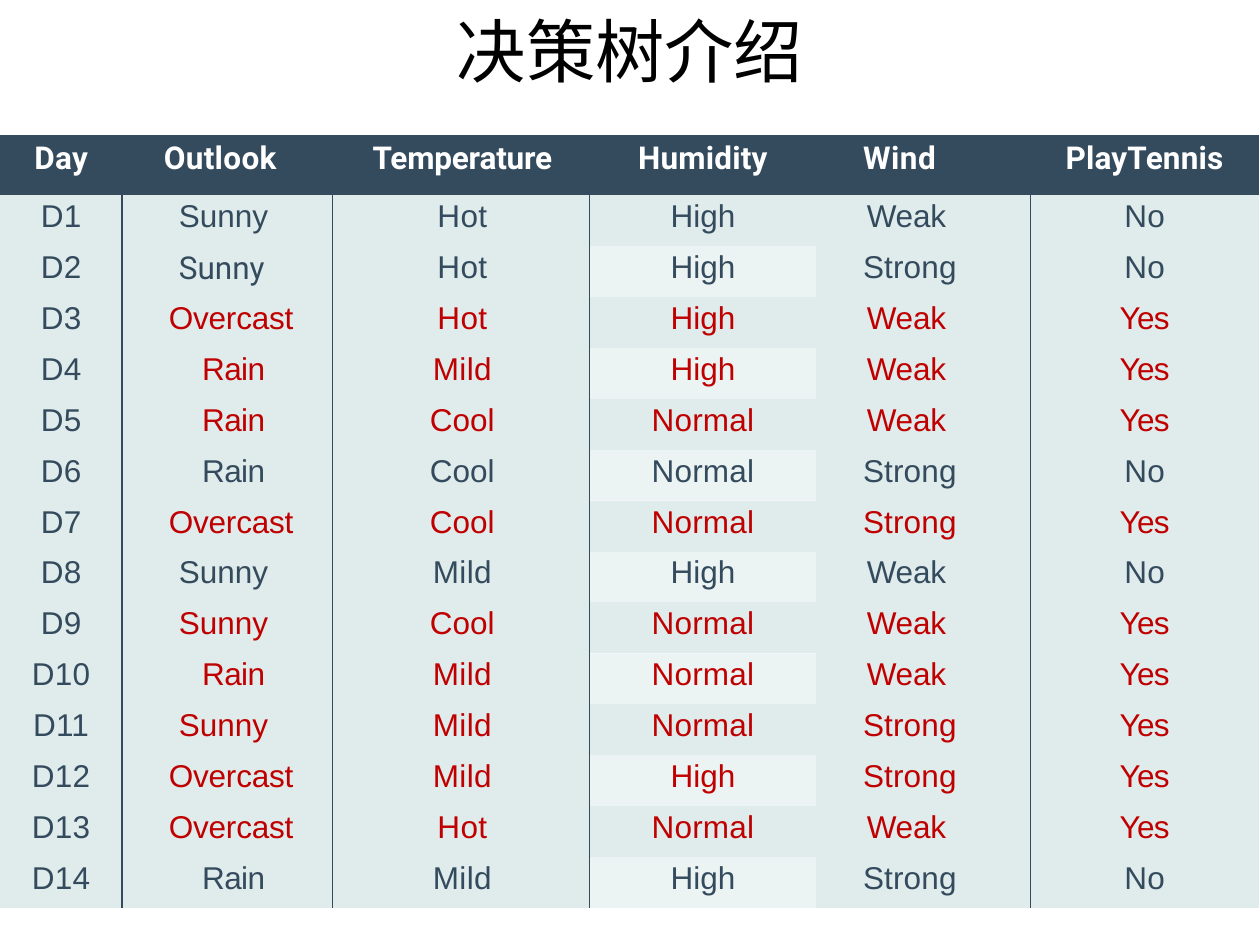
from lxml import etree
from pptx import Presentation
from pptx import util as u
from pptx.dml.color import RGBColor
from pptx.enum import text
from pptx.oxml import ns

NAVY = RGBColor(0x34, 0x4B, 0x5E)
RED = RGBColor(0xC0, 0x00, 0x00)
PALE = RGBColor(0xE0, 0xEB, 0xEB)
WHITE = RGBColor(0xFF, 0xFF, 0xFF)
BLACK = RGBColor(0x00, 0x00, 0x00)

WIDTH, HEIGHT = 10, 7.5
TOP, TALL, HEAD_H = 1.07, 6.14, 0.48
COLS = [0.97, 1.67, 2.04, 1.8, 1.7, 1.81]
RULED = (0, 1, 4)  # columns with a line on their right side
NO_STYLE = "{2D5ABB26-0587-4C30-8999-92F81FD0307C}"

HEAD = "Day Outlook Temperature Humidity Wind PlayTennis".split()
DAYS = [line.split() for line in """\
Sunny Hot High Weak No
Sunny Hot High Strong No
Overcast Hot High Weak Yes
Rain Mild High Weak Yes
Rain Cool Normal Weak Yes
Rain Cool Normal Strong No
Overcast Cool Normal Strong Yes
Sunny Mild High Weak No
Sunny Cool Normal Weak Yes
Rain Mild Normal Weak Yes
Sunny Mild Normal Strong Yes
Overcast Mild High Strong Yes
Overcast Hot Normal Weak Yes
Rain Mild High Strong No""".splitlines()]

# Words set from the left, with their indent in inches; all others are centred
LEFT = {"Outlook": 0.33, "Wind": 0.37, "Sunny": 0.45, "Overcast": 0.37,
        "Weak": 0.4, "Strong": 0.37}
# Letter spacing in hundredths of a point; 10 where a word is not named
TRACK = {"Day": 20, "Outlook": 20, "Temperature": -10, "Wind": 30,
         "Sunny": 0, "Overcast": -10, "Rain": -30, "Hot": 20, "Mild": 20,
         "Cool": 0, "High": 0, "Weak": -10, "Yes": -40}


def add_run(para, word, size, font, color, bold=False):
    run = para.add_run()
    run.text = word
    run.font.size = u.Pt(size)
    run.font.name = font
    run.font.bold = bold
    run.font.color.rgb = color
    return run


def add_title(slide, words):
    title = slide.shapes.title
    title.left, title.top = u.Inches(0.05 * WIDTH), u.Inches(0.05)
    title.width, title.height = u.Inches(0.9 * WIDTH), u.Inches(0.69)
    frame = title.text_frame
    frame.vertical_anchor = text.MSO_ANCHOR.MIDDLE
    para = frame.paragraphs[0]
    para.alignment = text.PP_ALIGN.CENTER
    add_run(para, words, 39.6, "Calibri", BLACK)


def add_rule(cell, side):
    """Draw a one-point line on the side "L" or "R" of a cell."""
    line = etree.SubElement(cell._tc.get_or_add_tcPr(),
                            ns.qn("a:ln" + side), w=str(u.Pt(1)))
    fill = etree.SubElement(line, ns.qn("a:solidFill"))
    etree.SubElement(fill, ns.qn("a:srgbClr"), val=str(NAVY))


def fill_cell(cell, color, share=100):
    cell.fill.solid()
    cell.fill.fore_color.rgb = color
    if share < 100:
        tint = cell._tc.tcPr.find(".//" + ns.qn("a:srgbClr"))
        etree.SubElement(tint, ns.qn("a:alpha"), val=str(share * 1000))


def set_word(cell, word, col, font, color, head=False):
    cell.margin_left = cell.margin_right = cell.margin_bottom = 0
    cell.margin_top = u.Inches(0.04 if head else 0.03)
    para = cell.text_frame.paragraphs[0]
    para.space_before = u.Pt(2.8 if head else 2.4)
    indent = LEFT.get(word, {"Rain": 0.1}.get(word, 0.02 if col == 2 else 0))
    para.alignment = (text.PP_ALIGN.LEFT if word in LEFT
                      else text.PP_ALIGN.CENTER)
    props = para._p.get_or_add_pPr()
    props.set("marL", str(u.Inches(indent)))
    props.set("indent", "0")
    run = add_run(para, word, 18, font, color, head)
    run.font._element.set("spc", str(TRACK.get(word, 10)))


def add_grid(slide):
    rows = len(DAYS) + 1
    table = slide.shapes.add_table(
        rows, len(COLS), 0, u.Inches(TOP),
        u.Inches(WIDTH), u.Inches(TALL)).table
    table._tbl.tblPr.find(ns.qn("a:tableStyleId")).text = NO_STYLE
    for col, wide in enumerate(COLS):
        table.columns[col].width = u.Inches(wide)
    for row in range(rows):
        table.rows[row].height = u.Inches(
            (TALL - HEAD_H) / len(DAYS) if row else HEAD_H)

    # Header
    for col, word in enumerate(HEAD):
        cell = table.cell(0, col)
        fill_cell(cell, NAVY)
        set_word(cell, word, col, "Roboto", WHITE, head=True)

    # Days: positive examples are red
    for row, facts in enumerate(DAYS, 1):
        for col, word in enumerate([f"D{row}"] + facts):
            cell = table.cell(row, col)
            if col - 1 in RULED:
                add_rule(cell, "L")
            if col in RULED:
                add_rule(cell, "R")
            fill_cell(cell, PALE, 100 if row % 2 else 60)
            color = RED if col and facts[-1] == "Yes" else NAVY
            font = "Roboto" if (row, col) == (2, 1) else "Arial"
            set_word(cell, word, col, font, color)


def main():
    deck = Presentation()
    deck.slide_width, deck.slide_height = u.Inches(WIDTH), u.Inches(HEIGHT)
    slide = deck.slides.add_slide(deck.slide_layouts[5])
    add_grid(slide)
    add_title(slide, "决策树介绍")
    deck.save("out.pptx")


if __name__ == "__main__":
    main()
